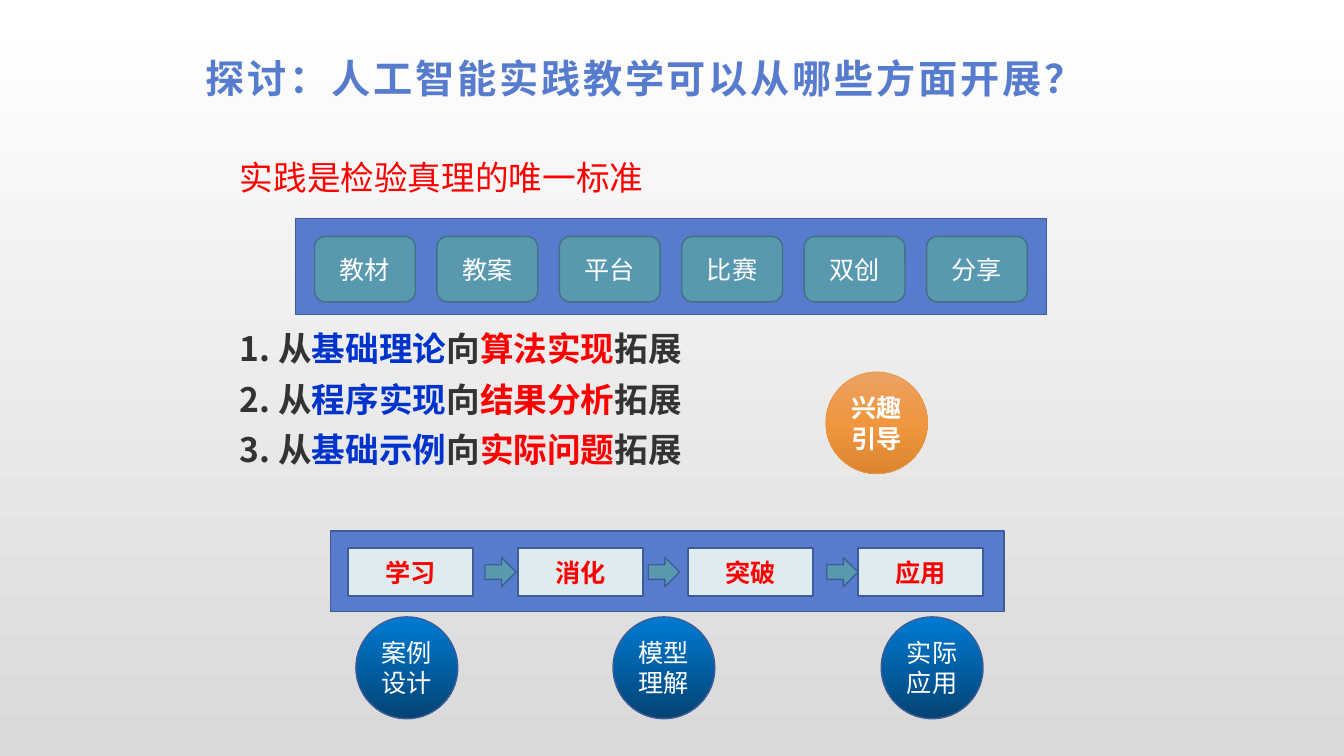
from copy import deepcopy
from dataclasses import dataclass

from pptx import Presentation
from pptx.dml.color import RGBColor
from pptx.enum.shapes import MSO_SHAPE as Shape
from pptx.enum.text import MSO_ANCHOR as Anchor, PP_ALIGN as Align
from pptx.oxml.ns import qn
from pptx.util import Inches, Pt

COLUMNS, ROWS = 133.3, 75  # the slide is a grid of 0.1 inch cells


@dataclass(frozen=True)
class Theme:
    latin: str = "Arial"
    cjk: str = "Noto Sans CJK SC"
    title_size: int = 28
    body_size: int = 24
    label_size: int = 18
    band: str = "577CCE"
    outline: str = "405C98"
    chip: str = "5999AF"
    chip_outline: str = "427181"
    step: str = "DEEBEF"
    white: str = "FFFFFF"
    ink: str = "333333"
    blue: str = "0033CC"
    red: str = "FF0000"
    backdrop: tuple = ("FFFFFF", "D9D9D9")
    ocean: tuple = ("007BD3", "034373")
    amber: tuple = ("EBA263", "EF963F", "DE852F")
    amber_outline: str = "E79647"


THEME = Theme()


def rgb(code):
    return RGBColor.from_string(code)


def cells(*counts):
    return [Inches(count / 10) for count in counts]


def evenly(first, last, count):
    return [first + (last - first) * i / (count - 1) for i in range(count)]


def paint(fill, owner, colors):
    """Fill with one colour, or with a downward gradient of evenly spaced colours."""
    if isinstance(colors, str):
        fill.solid()
        fill.fore_color.rgb = rgb(colors)
        return
    fill.gradient()
    fill.gradient_angle = 270
    stop_list = owner.element.xpath(".//a:gsLst")[0]
    for _ in colors[2:]:
        stop_list.append(deepcopy(stop_list[-1]))
    stops = zip(fill.gradient_stops, colors, evenly(0, 1, len(colors)))
    for stop, color, position in stops:
        stop.color.rgb = rgb(color)
        stop.position = position


def style(font, size, color, bold=False, name=THEME.cjk):
    font.name = name
    font.size = Pt(size)
    font.bold = bold
    font.color.rgb = rgb(color)


def add_figure(shapes, kind, area, colors, outline=THEME.outline, weight=1):
    figure = shapes.add_shape(kind, *cells(*area))
    figure.shadow.inherit = False
    paint(figure.fill, figure, colors)
    figure.line.color.rgb = rgb(outline)
    figure.line.width = Pt(weight)
    return figure


def add_label(figure, text, color=THEME.white, bold=False, name=THEME.cjk):
    frame = figure.text_frame
    frame.word_wrap = True
    frame.vertical_anchor = Anchor.MIDDLE
    frame.margin_left = frame.margin_right = Inches(0.05)
    para = frame.paragraphs[0]
    para.text = text
    para.alignment = Align.CENTER
    style(para.font, THEME.label_size, color, bold, name)


def add_circle(shapes, left, top, text, colors, outline=THEME.outline,
               weight=1, bold=False):
    area = (left, top, 10.1, 10.1)
    circle = add_figure(shapes, Shape.OVAL, area, colors, outline, weight)
    add_label(circle, text, bold=bold, name=THEME.latin)


def set_title(page, text):
    title = page.shapes.title
    title.left, title.top, title.width, title.height = cells(19.3, 5, 101.7, 5.5)
    frame = title.text_frame
    frame.vertical_anchor = Anchor.MIDDLE
    frame.margin_left, frame.margin_right = Inches(0.11), Inches(0.08)
    frame.margin_top = frame.margin_bottom = Inches(0.04)
    para = frame.paragraphs[0]
    para.alignment = Align.LEFT
    span = para.add_run()
    span.text = text
    style(span.font, THEME.title_size, THEME.band, True, THEME.latin)
    span.font._element.set("spc", "200")


def add_body(page, motto, directions):
    """Write the motto and, under the topic band, the numbered directions."""
    box = page.shapes.add_textbox(*cells(23.1, 15.6, 91.5, 25.2))
    frame = box.text_frame
    frame.word_wrap = True
    frame.margin_left = frame.margin_right = Inches(0.07)
    frame.margin_top = frame.margin_bottom = Inches(0.04)
    para = frame.paragraphs[0]
    para.text = motto
    para.line_spacing = 0.9
    style(para.font, THEME.body_size, THEME.red)
    for number, (source, target) in enumerate(directions, 1):
        para = frame.add_paragraph()
        para.line_spacing = 1.25
        para.space_before = Pt(86 if number == 1 else 0)
        style(para.font, THEME.body_size, THEME.ink, True)
        for text, color in ((f"{number}. 从", THEME.ink), (source, THEME.blue),
                            ("向", THEME.ink), (target, THEME.red),
                            ("拓展", THEME.ink)):
            span = para.add_run()
            span.text = text
            span.font.color.rgb = rgb(color)


def add_topics(page, topics):
    add_figure(page.shapes, Shape.RECTANGLE, (29.3, 21.7, 74.5, 9.5), THEME.band)
    for left, topic in zip(evenly(31.2, 91.9, len(topics)), topics):
        chip = add_figure(page.shapes, Shape.ROUNDED_RECTANGLE,
                          (left, 23.45, 10, 6.5), THEME.chip, THEME.chip_outline)
        add_label(chip, topic)


def add_flow(page, steps, arrow_lefts):
    shapes = page.shapes.add_group_shape().shapes
    add_figure(shapes, Shape.RECTANGLE, (32.8, 52.7, 66.8, 8), THEME.band)
    for left, step in zip(evenly(34.5, 85.1, len(steps)), steps):
        card = add_figure(shapes, Shape.RECTANGLE, (left, 54.35, 12.4, 4.8), THEME.step)
        add_label(card, step, THEME.red, True)
    for left in arrow_lefts:
        add_figure(shapes, Shape.RIGHT_ARROW, (left, 55.3, 3.1, 2.9), THEME.chip)


def use_cjk_font(page):
    """Name the East Asian font beside every Latin one."""
    for latin in page.element.xpath(".//a:latin"):
        east_asian = latin.makeelement(qn("a:ea"), {"typeface": THEME.cjk})
        latin.addnext(east_asian)


def main():
    deck = Presentation()
    deck.slide_width, deck.slide_height = cells(COLUMNS, ROWS)
    page = deck.slides.add_slide(deck.slide_layouts.get_by_name("Title Only"))
    paint(page.background.fill, page, THEME.backdrop)

    set_title(page, "探讨：人工智能实践教学可以从哪些方面开展？")
    add_topics(page, ("教材", "教案", "平台", "比赛", "双创", "分享"))
    add_body(page, "实践是检验真理的唯一标准", (
        ("基础理论", "算法实现"),
        ("程序实现", "结果分析"),
        ("基础示例", "实际问题"),
    ))
    for left, text in ((35.3, "案例设计"), (60.8, "模型理解"), (87.4, "实际应用")):
        add_circle(page.shapes, left, 61.2, text, THEME.ocean)
    add_flow(page, ("学习", "消化", "突破", "应用"), (48.1, 64.3, 82))
    add_circle(page.shapes, 81.9, 36.9, "兴趣引导", THEME.amber,
               THEME.amber_outline, 0.5, True)

    use_cjk_font(page)
    deck.save("out.pptx")


if __name__ == "__main__":
    main()
